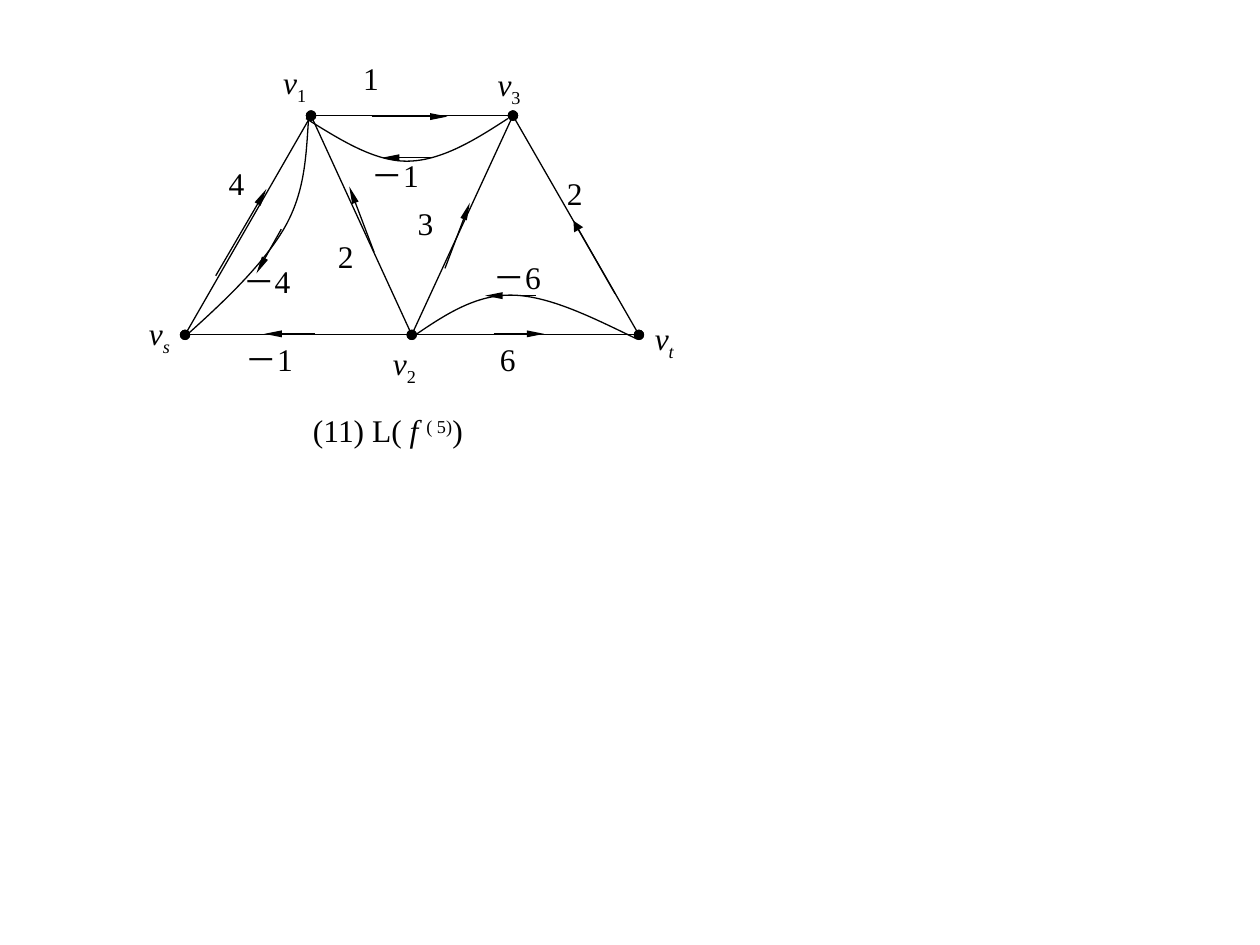
from dataclasses import dataclass

from lxml import etree
from pptx import Presentation
from pptx.dml.color import RGBColor
from pptx.enum.shapes import MSO_CONNECTOR
from pptx.enum.text import PP_ALIGN
from pptx.oxml.ns import qn
from pptx.util import Cm, Pt

STRAIGHT = MSO_CONNECTOR.STRAIGHT
JUSTIFY = PP_ALIGN.JUSTIFY


@dataclass
class Theme:
    ink: RGBColor = RGBColor(0, 0, 0)
    font: str = "Times New Roman"
    size: Pt = Pt(18)
    stroke: Pt = Pt(0.75)


class Graph:
    def __init__(self, slide, theme):
        self.theme = theme
        self.shapes = slide.shapes.add_group_shape().shapes

    def ink(self, shape):
        shape.line.color.rgb = self.theme.ink
        shape.line.width = self.theme.stroke

    def line(self, start, end, **tips):
        """Draw a straight line; tips maps headEnd or tailEnd to its XML attributes."""
        line = self.shapes.add_connector(STRAIGHT, *map(Cm, start + end))
        self.ink(line)
        props = line._element.spPr
        for tag, attrs in tips.items():
            etree.SubElement(props.find(qn("a:ln")), qn("a:" + tag), attrs)
        etree.SubElement(props, qn("a:effectLst"))

    def edge(self, start, end):
        dot = {"type": "oval"}
        self.line(start, end, headEnd=dot, tailEnd=dot)

    def arrow(self, start, end, width="sm", length="lg"):
        self.line(start, end, tailEnd={"type": "triangle", "w": width, "len": length})

    def curve(self, first, *points):
        """Draw cubic curves; each three points are two controls and an end."""
        pen = self.shapes.build_freeform(*map(Cm, first))
        pen.add_line_segments([tuple(map(Cm, p)) for p in points], close=False)
        shape = pen.convert_to_shape()
        shape.shadow.inherit = False
        shape.fill.background()
        self.ink(shape)
        legs = list(shape._element.iter(qn("a:lnTo")))
        for i in range(0, len(legs), 3):
            bend = etree.Element(qn("a:cubicBezTo"))
            legs[i].addprevious(bend)
            for leg in legs[i:i + 3]:
                bend.append(leg[0])
                leg.getparent().remove(leg)

    def label(self, left, top, width, *runs):
        """Add text; each run is (text, italic, baseline in percent)."""
        frame = self.shapes.add_textbox(*map(Cm, (left, top, width, 1.32))).text_frame
        frame.word_wrap = True
        para = frame.paragraphs[0]
        para.alignment = JUSTIFY
        for text, slant, base in runs:
            run = para.add_run()
            run.text = text
            style = {"name": self.theme.font, "size": self.theme.size, "italic": slant}
            for key, value in style.items():
                setattr(run.font, key, value)
            run.font.color.rgb = self.theme.ink
            if base:
                run._r.get_or_add_rPr().set("baseline", str(base * 1000))


NODES = {
    "s": (3.73, 6.75), "1": (6.27, 2.33), "2": (8.3, 6.75),
    "3": (10.34, 2.33), "t": (12.88, 6.75),
}
EDGES = ["st", "13", "3t", "1s", "12", "23"]
ARROWS = [
    ((8.97, 5.41), (9.47, 4.09)),
    ((7.49, 2.35), (9.02, 2.35)),
    ((9.95, 6.73), (10.97, 6.73)),
    ((7.54, 5.08), (7.04, 3.76)),
    ((8.71, 3.18), (7.7, 3.18)),
    ((6.35, 6.73), (5.33, 6.73)),
    ((4.35, 5.56), (5.37, 3.81)),
    ((5.67, 4.62), (5.17, 5.51)),
    ((10.8, 5.96), (9.78, 5.96)),
    ((12.4, 5.92), (11.56, 4.45), "med", "med"),
]
CURVES = [
    [(6.17, 2.39), (6.86, 2.82), (7.54, 3.25), (8.2, 3.25),
     (8.89, 3.25), (9.58, 2.82), (10.24, 2.39)],
    [(6.22, 2.41), (6.17, 3.15), (6.15, 3.89), (5.72, 4.62),
     (5.28, 5.36), (4.5, 6.1), (3.68, 6.83)],
    [(8.26, 6.83), (8.89, 6.4), (9.53, 5.95), (10.29, 5.95),
     (11.05, 5.95), (11.94, 6.4), (12.83, 6.83)],
]
COSTS = [
    ("3", 8.17, 3.99, 2.03), ("－1", 4.7, 6.73, 2.54), ("2", 11.18, 3.39, 2.54),
    ("－1", 7.24, 3.02, 2.03), ("4", 4.36, 3.18, 2.54), ("1", 7.07, 1.07, 3.56),
    ("2", 6.56, 4.65, 0.97), ("6", 9.83, 6.73, 2.03), ("－4", 4.65, 5.16, 2.03),
    ("－6", 9.7, 5.08, 3.05),
]
NAMES = [
    ("s", 2.75, 6.2, 2.03), ("2", 7.67, 6.81, 2.03), ("1", 5.46, 1.14, 1.52),
    ("t", 12.95, 6.3, 1.52), ("3", 9.78, 1.19, 1.52),
]


def main():
    deck = Presentation()
    deck.slide_width, deck.slide_height = Cm(25.4), Cm(19.05)
    graph = Graph(deck.slides.add_slide(deck.slide_layouts[6]), Theme())
    for start, end in EDGES:
        graph.edge(NODES[start], NODES[end])
    for points in CURVES:
        graph.curve(*points)
    for arrow in ARROWS:
        graph.arrow(*arrow)
    for text, *place in COSTS:
        graph.label(*place, (text, False, 0))
    for sub, *place in NAMES:
        graph.label(*place, ("v", True, 0), (sub, sub.isalpha(), -25))
    graph.label(6.06, 8.16, 3.63, ("(11) L( ", False, 0), ("f ", True, 0),
                ("( 5)", False, 30), (")", False, 0))
    deck.save("out.pptx")


if __name__ == "__main__":
    main()
